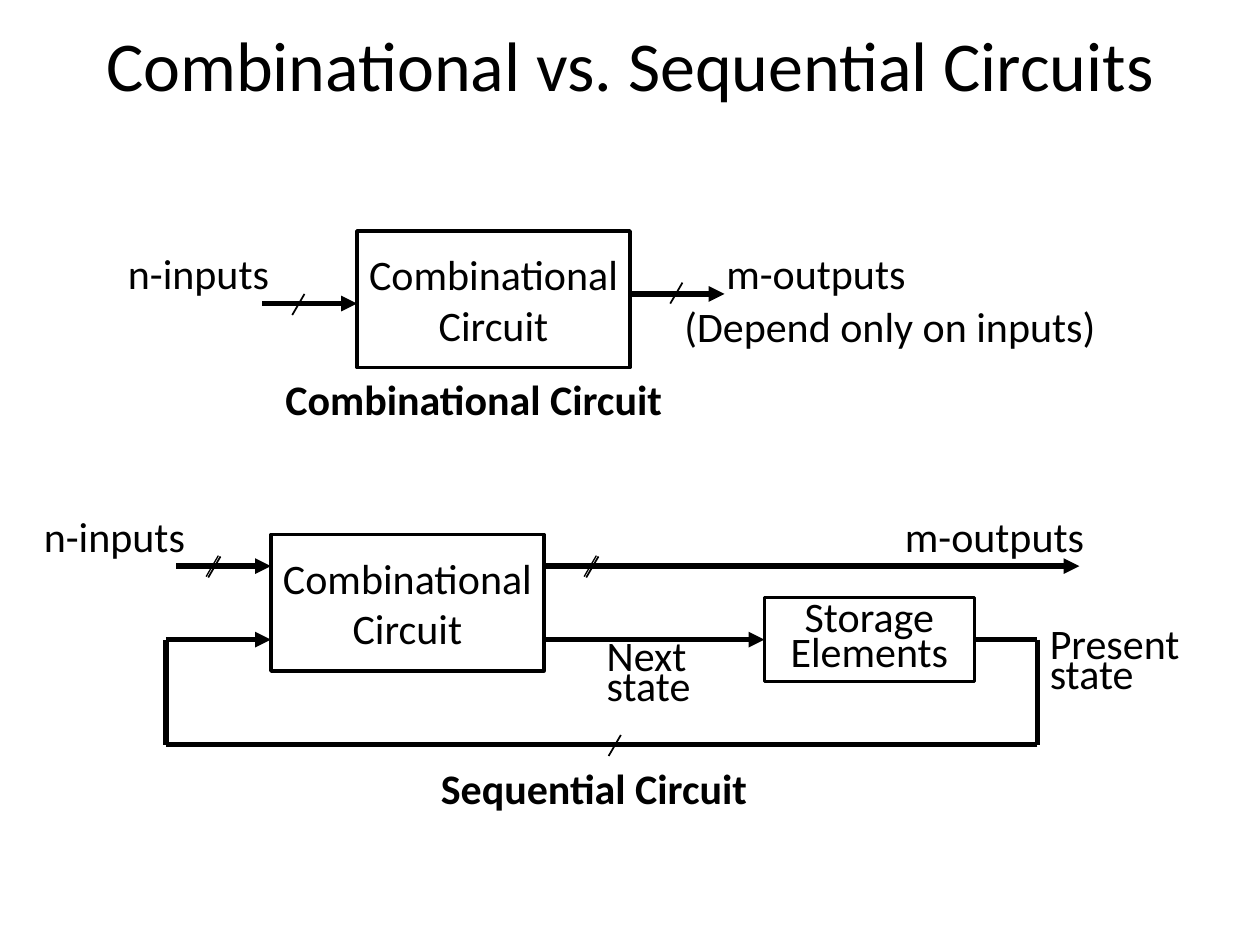
from lxml import etree
from pptx import Presentation
from pptx.dml.color import RGBColor
from pptx.enum.shapes import MSO_CONNECTOR, MSO_SHAPE
from pptx.enum.text import MSO_ANCHOR, MSO_AUTO_SIZE, PP_ALIGN
from pptx.oxml.ns import qn
from pptx.util import Pt

BLACK = RGBColor(0, 0, 0)
WHITE = RGBColor(255, 255, 255)


def write(frame, text, size=24, bold=False, align=PP_ALIGN.LEFT, spacing=None):
    """Fill a text frame, one paragraph per line of text."""
    frame.text = text
    for para in frame.paragraphs:
        para.alignment = align
        para.line_spacing = spacing
        para.font.color.rgb = BLACK
        for name, value in {"name": "Calibri", "size": Pt(size), "bold": bold}.items():
            setattr(para.font, name, value)


def draw_line(x1, y1, x2, y2, width=3, arrow=False):
    line = page.shapes.add_connector(
        MSO_CONNECTOR.STRAIGHT, Pt(x1), Pt(y1), Pt(x2), Pt(y2))
    line.line.color.rgb = BLACK
    line.line.width = Pt(width)
    if arrow:
        etree.SubElement(line.line._get_or_add_ln(), qn("a:tailEnd"), type="triangle")
    etree.SubElement(line._element.spPr, qn("a:effectLst"))


deck = Presentation()
deck.slide_width, deck.slide_height = Pt(720), Pt(540)
page = deck.slides.add_slide(deck.slide_layouts[5])

title = page.shapes.title
title_format = {"left": Pt(0), "top": Pt(12), "width": Pt(720), "height": Pt(48.5)}
for name, value in title_format.items():
    setattr(title, name, value)
frame_format = {"margin_left": 0, "margin_right": 0, "margin_top": 0, "margin_bottom": 0,
                "vertical_anchor": MSO_ANCHOR.MIDDLE, "auto_size": MSO_AUTO_SIZE.NONE}
for name, value in frame_format.items():
    setattr(title.text_frame, name, value)
write(title.text_frame, "Combinational vs. Sequential Circuits", 40, align=PP_ALIGN.CENTER)

# Circuit blocks: left, top, width, height, text, line spacing
blocks = [
    (204, 132, 156, 78, "Combinational\nCircuit", None),
    (154.8, 305.5, 156, 78, "Combinational\nCircuit", None),
    (436.8, 341.5, 120, 48, "Storage\nElements", 0.7),
]
for left, top, width, height, text, spacing in blocks:
    block = page.shapes.add_shape(
        MSO_SHAPE.RECTANGLE, Pt(left), Pt(top), Pt(width), Pt(height))
    block.shadow.inherit = False
    block.fill.solid()
    block.fill.fore_color.rgb = WHITE
    block.line.color.rgb = BLACK
    block.line.width = Pt(2)
    block.text_frame.word_wrap = False
    block.text_frame.vertical_anchor = MSO_ANCHOR.MIDDLE
    write(block.text_frame, text, align=PP_ALIGN.CENTER, spacing=spacing)

# Signals: start x, y, end x
arrows = [
    (150, 173.5, 204),
    (360, 168, 414),
    (100.8, 323.5, 154.8),
    (310.8, 323.5, 616.8),
    (310.8, 365.5, 436.8),
    (94.8, 365.5, 154.8),
]
for start, y, end in arrows:
    draw_line(start, y, end, y, arrow=True)

# Feedback path from the storage elements back to the circuit
feedback = [(556.8, 365.5), (592.8, 365.5), (592.8, 425.5), (94.8, 425.5), (94.8, 365.5)]
for start, end in zip(feedback, feedback[1:]):
    draw_line(*start, *end)

# Bus slashes: upper right x, y, line width
slashes = [
    (174, 168, 1),
    (390, 161.5, 1),
    (124.8, 317.5, 0.75),
    (126, 318, 1),
    (340.8, 317.5, 0.75),
    (342, 318, 1),
    (354.8, 420, 1),
]
for x, y, width in slashes:
    draw_line(x, y, x - 7, y + 12, width)

# Labels: left, top, width, height, text, bold, line spacing
labels = [
    (66, 138, 104.5, 41, "n-inputs", False, None),
    (408, 138, 127.5, 41, "m-outputs", False, None),
    (384, 168, 273.5, 41, "(Depend only on inputs)", False, None),
    (156, 210, 257, 41, "Combinational Circuit", True, None),
    (18, 288, 108, 41, "n-inputs", False, None),
    (510, 288, 127.5, 41, "m-outputs", False, None),
    (339.6, 366.5, 74, 47.5, "Next\nstate", False, 0.6),
    (592.8, 359.5, 109.5, 47.5, "Present\nstate", False, 0.6),
    (244.8, 432, 219.5, 41, "Sequential Circuit", True, None),
]
for left, top, width, height, text, bold, spacing in labels:
    box = page.shapes.add_textbox(Pt(left), Pt(top), Pt(width), Pt(height))
    box.text_frame.word_wrap = True
    write(box.text_frame, text, bold=bold, spacing=spacing)

deck.save("out.pptx")
